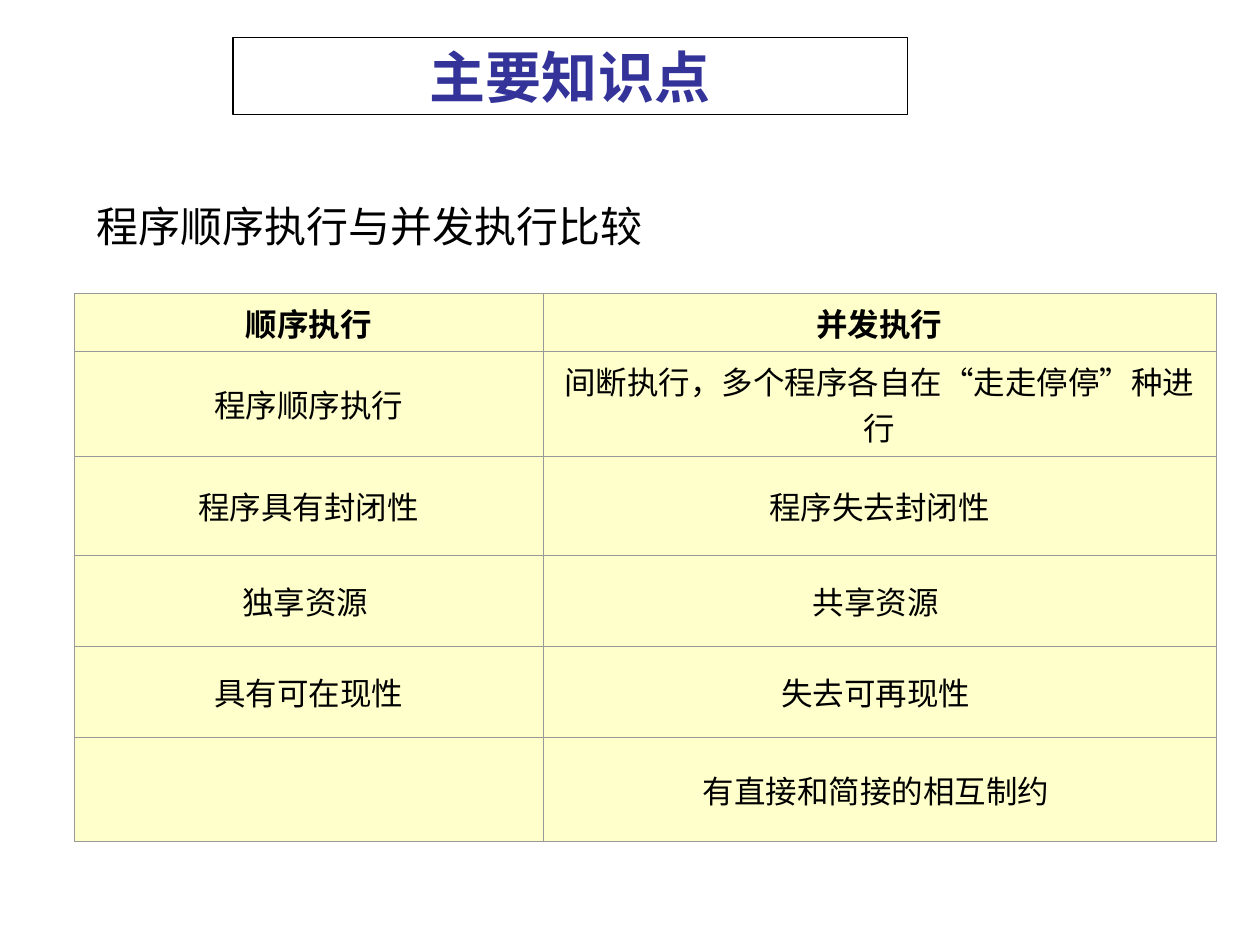
from dataclasses import dataclass

from lxml.etree import SubElement
from pptx import Presentation
from pptx.dml.color import RGBColor
from pptx.enum.shapes import MSO_SHAPE
from pptx.enum.text import MSO_ANCHOR, PP_ALIGN
from pptx.oxml.ns import qn
from pptx.slide import Slide
from pptx.table import _Cell as Cell
from pptx.text.text import _Paragraph as Paragraph
from pptx.util import Inches, Pt

BLACK = RGBColor(0x00, 0x00, 0x00)
WHITE = RGBColor(0xFF, 0xFF, 0xFF)
TITLE_BLUE = RGBColor(0x33, 0x33, 0x99)
CELL_YELLOW = RGBColor(0xFF, 0xFF, 0x99)
BORDER_GRAY = RGBColor(0x99, 0x99, 0x99)

HEADING_FONT = "Roboto"
TABLE_FONT = "Times New Roman"
COLUMN_WIDTHS = (3.72, 5.34)


@dataclass(frozen=True)
class ComparisonRow:
    """One row of the comparison table, with its height in inches."""
    sequential: str
    concurrent: str
    height: float
    bold: bool = False


ROWS = (
    ComparisonRow("顺序执行", "并发执行", 0.46, bold=True),
    ComparisonRow("程序顺序执行", "间断执行，多个程序各自在“走走停停”种进行", 0.83),
    ComparisonRow("程序具有封闭性", "程序失去封闭性", 0.79),
    ComparisonRow("独享资源 ", "共享资源 ", 0.72),
    ComparisonRow("具有可在现性", "失去可再现性 ", 0.72),
    ComparisonRow("", "有直接和简接的相互制约 ", 0.83),
)


def style_paragraph(paragraph: Paragraph, font_name: str, size: float,
                    color: RGBColor, bold: bool = False) -> None:
    """Set the font of a whole paragraph."""
    font = paragraph.font
    font.name, font.size, font.bold = font_name, Pt(size), bold
    font.color.rgb = color


def add_title(slide: Slide, text: str) -> None:
    """Add the framed slide title."""
    shape = slide.shapes.add_shape(MSO_SHAPE.RECTANGLE, Inches(1.85), Inches(0.3),
                                   Inches(5.35), Inches(0.61))
    shape.shadow.inherit = False
    shape.fill.solid()
    shape.fill.fore_color.rgb = WHITE
    shape.line.color.rgb = BLACK
    shape.line.width = Pt(0.74)
    shape.text_frame.vertical_anchor = MSO_ANCHOR.MIDDLE
    paragraph = shape.text_frame.paragraphs[0]
    paragraph.text = text
    paragraph.alignment = PP_ALIGN.CENTER
    style_paragraph(paragraph, HEADING_FONT, 32, TITLE_BLUE, bold=True)


def add_subtitle(slide: Slide, text: str) -> None:
    """Add the line that introduces the table."""
    box = slide.shapes.add_textbox(Inches(0.67), Inches(1.62), Inches(6.94), Inches(0.47))
    box.text_frame.word_wrap = True
    paragraph = box.text_frame.paragraphs[0]
    paragraph.text = text
    paragraph.line_spacing = 0.8
    paragraph.space_before = Pt(6)
    style_paragraph(paragraph, HEADING_FONT, 24, BLACK)


def style_cell(cell: Cell) -> None:
    """Give a cell thin gray borders and a half-transparent yellow fill."""
    properties = cell._tc.get_or_add_tcPr()
    for side in ("a:lnL", "a:lnR", "a:lnT", "a:lnB"):
        line = SubElement(properties, qn(side), w=str(Pt(0.34)))
        fill = SubElement(line, qn("a:solidFill"))
        SubElement(fill, qn("a:srgbClr"), val=str(BORDER_GRAY))
    cell.fill.solid()
    cell.fill.fore_color.rgb = CELL_YELLOW
    color = properties.find(qn("a:solidFill")).find(qn("a:srgbClr"))
    SubElement(color, qn("a:alpha"), val="50000")


def fill_cell(cell: Cell, text: str, bold: bool) -> None:
    """Write centred text into a styled cell."""
    style_cell(cell)
    cell.vertical_anchor = MSO_ANCHOR.MIDDLE
    paragraph = cell.text_frame.paragraphs[0]
    paragraph.text = text
    paragraph.alignment = PP_ALIGN.CENTER
    paragraph.space_before = Pt(4.5)
    style_paragraph(paragraph, TABLE_FONT, 18, BLACK, bold)


def add_comparison_table(slide: Slide) -> None:
    """Add the table that compares both kinds of execution."""
    table = slide.shapes.add_table(
        len(ROWS), len(COLUMN_WIDTHS), Inches(0.59), Inches(2.33),
        Inches(sum(COLUMN_WIDTHS)), Inches(sum(row.height for row in ROWS))).table
    table.first_row = table.horz_banding = False
    for column, width in zip(table.columns, COLUMN_WIDTHS):
        column.width = Inches(width)
    for table_row, row in zip(table.rows, ROWS):
        table_row.height = Inches(row.height)
        for cell, text in zip(table_row.cells, (row.sequential, row.concurrent)):
            fill_cell(cell, text, row.bold)


def main() -> None:
    """Build and save the slide."""
    presentation = Presentation()
    presentation.slide_width = Inches(10)
    presentation.slide_height = Inches(7.5)
    slide = presentation.slides.add_slide(presentation.slide_layouts[6])
    add_subtitle(slide, "程序顺序执行与并发执行比较")
    add_comparison_table(slide)
    add_title(slide, "主要知识点")
    presentation.save("out.pptx")


main()
